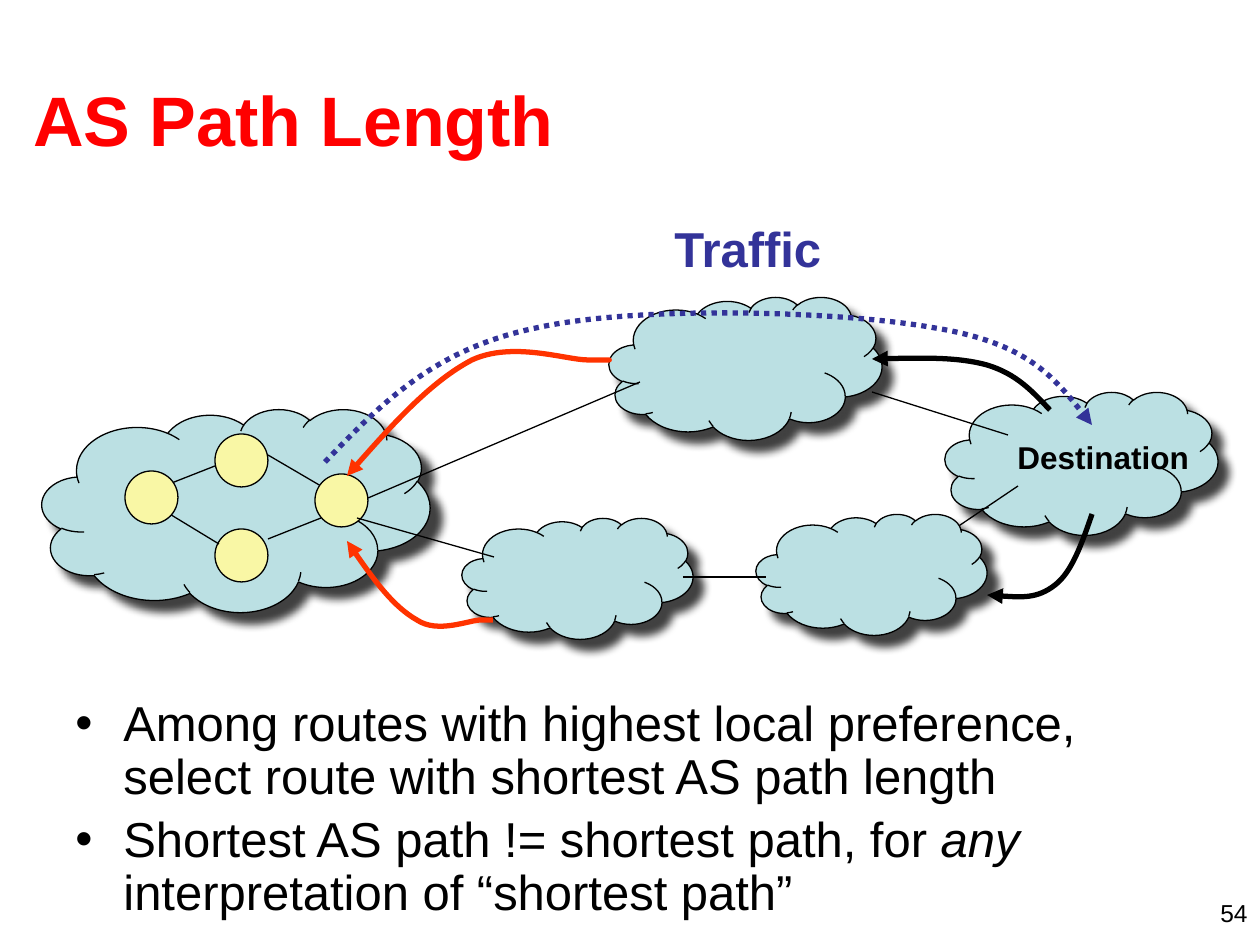
from lxml.etree import SubElement
from pptx import Presentation
from pptx.dml.color import RGBColor
from pptx.enum.dml import MSO_LINE
from pptx.enum.shapes import MSO_CONNECTOR, MSO_SHAPE
from pptx.enum.text import MSO_ANCHOR, PP_ALIGN
from pptx.oxml.ns import qn
from pptx.util import Emu, Pt

SCALE = 914400 / 126  # EMU per px
COLORS = {
    "black": "000000", "title": "FF0000", "cloud": "BBE0E3",
    "router": "F9F7A5", "route": "FF3300", "traffic": "333399",
}
FONT = "Arial"


def px(value):
    return Emu(round(value * SCALE))


def rgb(name):
    return RGBColor.from_string(COLORS[name])


def write(p, text, size=28, color="black", bold=False, italic=False):
    """Add one formatted run to a paragraph."""
    r = p.add_run()
    r.text = text
    r.font.name = FONT
    r.font.size = Pt(size)
    r.font.bold = bold
    r.font.italic = italic
    r.font.color.rgb = rgb(color)


class Diagram:
    def __init__(self, slide):
        self.shapes = slide.shapes

    def frame(self, x, y, w, h, wrap=True, anchor=MSO_ANCHOR.TOP):
        tf = self.shapes.add_textbox(px(x), px(y), px(w), px(h)).text_frame
        tf.word_wrap = wrap
        tf.vertical_anchor = anchor
        return tf

    def label(self, text, x, y, w, h, align=PP_ALIGN.LEFT, wrap=True,
              anchor=MSO_ANCHOR.TOP, **style):
        p = self.frame(x, y, w, h, wrap, anchor).paragraphs[0]
        p.alignment = align
        write(p, text, **style)

    def bullets(self, items, x, y, w, h, indent=48):
        tf = self.frame(x, y, w, h)
        for i, runs in enumerate(items):
            p = tf.add_paragraph() if i else tf.paragraphs[0]
            pPr = p._p.get_or_add_pPr()
            pPr.set("marL", str(px(indent)))
            pPr.set("indent", str(-px(indent)))
            SubElement(pPr, qn("a:buFont"), typeface=FONT)
            SubElement(pPr, qn("a:buChar"), char="•")
            p.line_spacing = 0.9
            if i:
                p.space_before = Pt(5.6)
            for text, italic in runs:
                write(p, text, italic=italic)

    def solid(self, kind, color, x, y, w, h):
        sp = self.shapes.add_shape(kind, px(x), px(y), px(w), px(h))
        sp.shadow.inherit = False
        sp.fill.solid()
        sp.fill.fore_color.rgb = rgb(color)
        sp.line.color.rgb = rgb("black")
        sp.line.width = Pt(0.75)
        return sp

    def cloud(self, x, y, w, h):
        sp = self.solid(MSO_SHAPE.CLOUD, "cloud", x, y, w, h)
        effects = sp._element.spPr.find(qn("a:effectLst"))
        shadow = SubElement(effects, qn("a:outerShdw"), blurRad=str(Pt(5)),
                            dist=str(Pt(8.5)), dir="2700000",
                            algn="ctr", rotWithShape="0")
        color = SubElement(shadow, qn("a:srgbClr"), val=COLORS["black"])
        SubElement(color, qn("a:alpha"), val="75000")

    def router(self, x, y, size=53):
        self.solid(MSO_SHAPE.OVAL, "router", x, y, size, size)

    def link(self, x1, y1, x2, y2):
        line = self.shapes.add_connector(
            MSO_CONNECTOR.STRAIGHT, px(x1), px(y1), px(x2), px(y2))
        line.line.color.rgb = rgb("black")
        line.line.width = Pt(0.75)
        SubElement(line._element.spPr, qn("a:effectLst"))

    def curve(self, points, color, dash=None):
        """Arrow along cubic Béziers: a start, then three points per piece."""
        builder = self.shapes.build_freeform(*points[0], scale=SCALE)
        builder.add_line_segments(points[1:], close=False)
        sp = builder.convert_to_shape()
        sp.shadow.inherit = False
        sp.fill.background()
        sp.line.color.rgb = rgb(color)
        sp.line.width = Pt(3)
        if dash:
            sp.line.dash_style = dash
        SubElement(sp.line._get_or_add_ln(), qn("a:tailEnd"), type="triangle")
        outline = next(sp._element.iter(qn("a:path")))
        segments = outline.findall(qn("a:lnTo"))
        for i in range(0, len(segments), 3):
            bezier = SubElement(outline, qn("a:cubicBezTo"))
            for segment in segments[i:i + 3]:
                bezier.append(segment[0])
                outline.remove(segment)


def main():
    prs = Presentation()
    prs.slide_width, prs.slide_height = px(1260), px(945)
    d = Diagram(prs.slides.add_slide(prs.slide_layouts[6]))

    # Page number, title and bullets
    d.label("54", 966, 892, 294, 32, align=PP_ALIGN.RIGHT, size=14)
    d.label("AS Path Length", 21, 40, 1207, 158, anchor=MSO_ANCHOR.MIDDLE,
            size=40, color="title", bold=True)
    d.bullets([
        [("Among routes with highest local preference, "
          "select route with shortest AS path length", False)],
        [("Shortest AS path != shortest path, for ", False), ("any", True),
         (" interpretation of “shortest path”", False)],
    ], 63, 693, 1134, 256)

    # Clouds
    for box in [(945, 392, 273, 143), (42, 409, 388, 203),
                (609, 297, 273, 143), (462, 518, 231, 121)]:
        d.cloud(*box)

    # Routers inside the source cloud
    for x, y in [(215, 434), (215, 529)]:
        d.router(x, y)
    for ends in [(164, 486, 215, 466), (268, 539, 321, 518),
                 (168, 513, 219, 544), (268, 455, 321, 486)]:
        d.link(*ends)
    for x, y in [(315, 474), (125, 471)]:
        d.router(x, y)

    # Links between clouds
    for ends in [(368, 498, 640, 382), (357, 518, 494, 557),
                 (872, 392, 1008, 435), (892, 571, 1018, 486)]:
        d.link(*ends)

    # Routes announced to the source
    d.curve([(609, 360), (610, 360), (611, 360), (588, 360),
             (566, 360), (513, 341), (472, 360),
             (432, 381), (389, 428), (347, 476)], "route")
    d.curve([(493, 620), (493, 620), (494, 620), (481, 620),
             (469, 620), (438, 634), (417, 620),
             (394, 607), (370, 575), (347, 541)], "route")

    # Destination and the routes it announces
    d.label("Destination", 1005, 432, 197, 50, wrap=False, size=18, bold=True)
    d.curve([(1050, 410), (1033, 392), (1017, 374), (987, 365),
             (958, 357), (915, 358), (872, 359)], "black")
    d.cloud(756, 514, 231, 121)
    d.link(683, 577, 766, 577)
    d.curve([(1092, 514), (1082, 543), (1072, 572), (1055, 585),
             (1037, 599), (1012, 597), (987, 595)], "black")

    # Traffic
    d.curve([(325, 462), (379, 406), (433, 349), (536, 328),
             (638, 305), (842, 311), (935, 328),
             (1027, 343), (1060, 384), (1092, 425)],
            "traffic", MSO_LINE.ROUND_DOT)
    d.label("Traffic", 662, 212, 179, 72, anchor=MSO_ANCHOR.MIDDLE,
            color="traffic", bold=True)

    prs.save("out.pptx")


if __name__ == "__main__":
    main()
